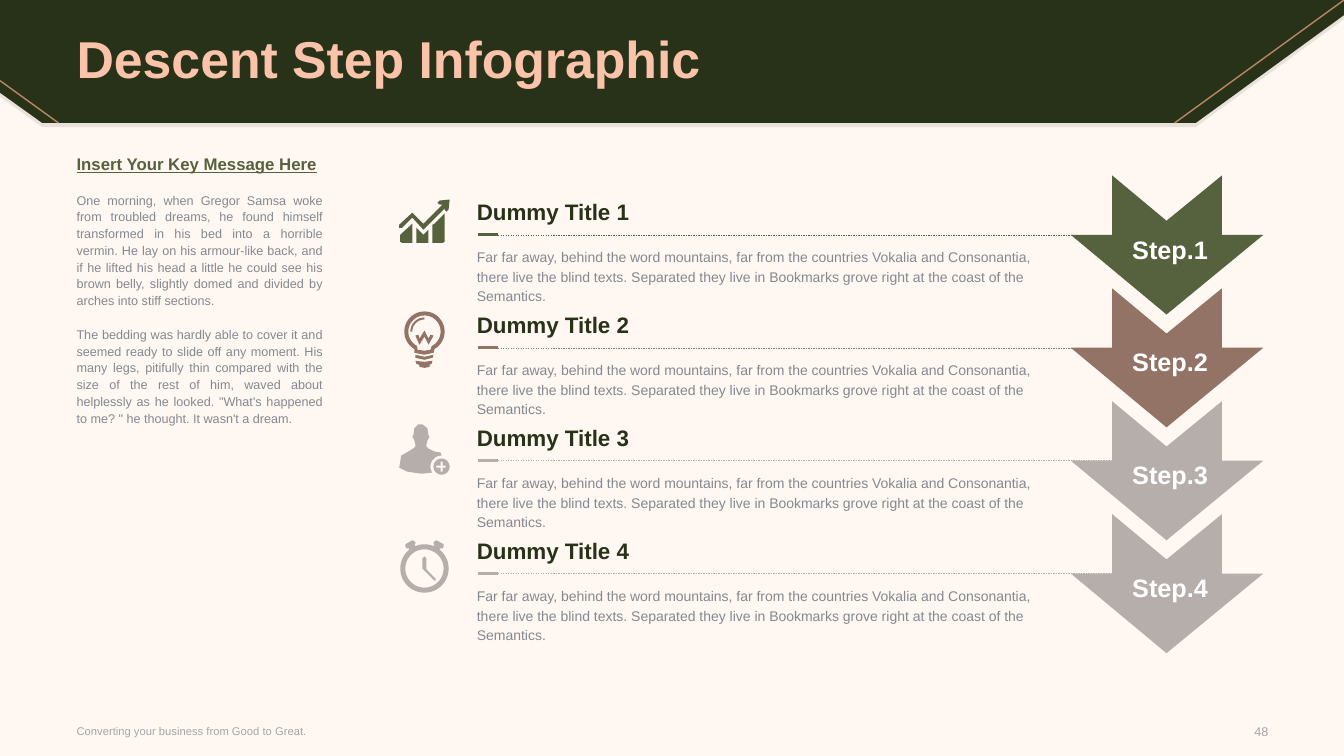
"""Build the descent step infographic slide."""
import dataclasses
import math
import typing

import pptx
import pptx.dml.color
import pptx.enum.dml
import pptx.enum.shapes
import pptx.enum.text
import pptx.oxml
import pptx.oxml.ns
import pptx.shapes.autoshape
import pptx.slide
import pptx.text.text
import pptx.util

PX = 9144
STEP_PITCH = 112
RGB = pptx.dml.color.RGBColor
Pt = pptx.util.Pt
Align = pptx.enum.text.PP_ALIGN
Anchor = pptx.enum.text.MSO_ANCHOR
Point = tuple[float, float]
Contour = list[Point]
Format = dict[str, typing.Any]

CREAM = RGB(0xFF, 0xF7, 0xF2)
FOREST = RGB(0x28, 0x32, 0x18)
PEACH = RGB(0xFB, 0xC4, 0xAA)
COPPER = RGB(0xB9, 0x87, 0x63)
OLIVE = RGB(0x56, 0x61, 0x3D)
BROWN = RGB(0x92, 0x73, 0x65)
TAUPE = RGB(0xB6, 0xAE, 0xAB)
SLATE = RGB(0x85, 0x89, 0x8F)
SILVER = RGB(0xA6, 0xA6, 0xA6)
WHITE = RGB(0xFF, 0xFF, 0xFF)

KEY_MESSAGE = "Insert Your Key Message Here"
STORY = (
    "One morning, when Gregor Samsa woke from troubled dreams, he found himself transformed "
    "in his bed into a horrible vermin. He lay on his armour-like back, and if he lifted his "
    "head a little he could see his brown belly, slightly domed and divided by arches into "
    "stiff sections.",
    "The bedding was hardly able to cover it and seemed ready to slide off any moment. His "
    "many legs, pitifully thin compared with the size of the rest of him, waved about "
    "helplessly as he looked. \"What's happened to me? \" he thought. It wasn't a dream.",
)
STEP_TEXT = (
    "Far far away, behind the word mountains, far from the countries Vokalia and Consonantia, "
    "there live the blind texts. Separated they live in Bookmarks grove right at the coast of "
    "the Semantics."
)


@dataclasses.dataclass
class Step:
    """One row: its colour and the outlines of its icon."""
    color: RGB
    icon: list[Contour]


@dataclasses.dataclass
class Words:
    """One paragraph with its font and paragraph formats."""
    text: str
    size: int
    color: RGB
    font: Format = dataclasses.field(default_factory=dict)
    layout: Format = dataclasses.field(default_factory=dict)


def arc(x: int, y: int, radius: int, start: int = 0, end: int = 360) -> Contour:
    """Return points along an arc, with angles in degrees."""
    angles = [math.radians(start + (end - start) * i / 48) for i in range(49)]
    return [(x + radius * math.cos(a), y + radius * math.sin(a)) for a in angles]


def shift(contour: Contour, dy: int) -> Contour:
    """Move a contour down."""
    return [(x, y + dy) for x, y in contour]


HEADER = [(1186, 122), (42, 122), (0, 92), (0, 0), (1333, 0), (1333, 15)]
ARROW = [(1253, 233), (1157, 312), (1062, 233), (1103, 233), (1103, 174), (1157, 219),
         (1212, 174), (1212, 233)]
CHART = [
    [(397, 240), (399, 241), (409, 241), (409, 222), (397, 233)],
    [(413, 226), (413, 241), (425, 241), (425, 228), (420, 233)],
    [(429, 223), (429, 241), (439, 241), (441, 240), (441, 212), (431, 222)],
    [(436, 199), (434, 201), (436, 203), (439, 203), (420, 222), (409, 211), (396, 223),
     (396, 226), (399, 226), (409, 216), (420, 228), (442, 206), (441, 208), (443, 210),
     (445, 208), (446, 198)],
]
BULB = [
    arc(421, 329, 20, 120, 420) + [(430, 350), (421, 352), (411, 350)],
    arc(421, 329, 16, 117, 423) + [(427, 347), (421, 348), (414, 347)],
    arc(421, 329, 14, 180, 270) + arc(421, 329, 12, 270, 180),
    [(425, 336), (421, 328), (416, 336), (415, 332), (412, 333), (416, 342), (421, 334),
     (425, 342), (430, 333), (427, 332)],
    [(412, 352), (412, 355), (421, 357), (429, 355), (430, 352), (421, 354)],
    [(412, 358), (413, 361), (416, 362), (416, 364), (421, 365), (426, 364), (426, 362),
     (428, 361), (429, 358), (421, 359)],
]
PERSON = [
    arc(438, 463, 11, 147, 270) + [
        (437, 449), (431, 448), (425, 445), (423, 443), (423, 441), (424, 437), (426, 433),
        (425, 432), (424, 425), (419, 421), (415, 421), (411, 425), (410, 432), (409, 433),
        (411, 437), (412, 441), (412, 443), (410, 445), (405, 448), (398, 452), (396, 464),
        (404, 468), (418, 470)],
    arc(438, 463, 8),
    [(442, 464), (439, 464), (439, 468), (437, 468), (437, 464), (433, 464), (433, 462),
     (437, 462), (437, 458), (439, 458), (439, 462), (442, 462)],
]
BELL = [(436, 545), (437, 544), (439, 544), (440, 542), (440, 540), (433, 536), (431, 537),
        (430, 538), (430, 540), (431, 540), (430, 542)]
CLOCK = [
    arc(421, 564, 24), arc(421, 564, 19), BELL, [(842 - x, y) for x, y in BELL],
    [(423, 565), (423, 554), (421, 552), (419, 554), (419, 564), (421, 566), (431, 576),
     (432, 576), (432, 574)],
]
STEPS = [Step(OLIVE, CHART), Step(BROWN, BULB), Step(TAUPE, PERSON), Step(TAUPE, CLOCK)]


def apply(target: typing.Any, values: Format) -> None:
    """Set each named attribute on the target."""
    for name, value in values.items():
        setattr(target, name, value)


def write(frame: pptx.text.text.TextFrame, lines: list[Words], anchor: Anchor) -> None:
    """Fill a text frame with formatted paragraphs."""
    apply(frame, {"word_wrap": True, "auto_size": pptx.enum.text.MSO_AUTO_SIZE.NONE,
                  "vertical_anchor": anchor, "margin_left": 0, "margin_right": 0,
                  "margin_top": 0, "margin_bottom": 0})
    for index, words in enumerate(lines):
        para = frame.add_paragraph() if index else frame.paragraphs[0]
        span = para.add_run()
        span.text = words.text
        apply(para, words.layout)
        apply(span.font, {"name": "Arial", "size": Pt(words.size), **words.font})
        span.font.color.rgb = words.color


def add_text(page: pptx.slide.Slide, place: tuple[int, int, int, int], lines: list[Words],
             anchor: Anchor = Anchor.TOP) -> None:
    """Add a text box."""
    box = page.shapes.add_textbox(*(v * PX for v in place))
    write(box.text_frame, lines, anchor)


def add_outline(page: pptx.slide.Slide, contours: list[Contour],
                color: RGB) -> pptx.shapes.autoshape.Shape:
    """Add a filled shape made of closed contours."""
    scaled = [[(x * PX, y * PX) for x, y in contour] for contour in contours]
    builder = page.shapes.build_freeform(*scaled[0][0])
    for contour in scaled:
        builder.move_to(*contour[0])
        builder.add_line_segments(contour[1:], close=True)
    shape = builder.convert_to_shape()
    shape.shadow.inherit = False
    shape.fill.solid()
    shape.fill.fore_color.rgb = color
    shape.line.fill.background()
    return shape


def add_rule(page: pptx.slide.Slide, ends: tuple[int, int, int, int], color: RGB,
             values: Format) -> None:
    """Add a straight line."""
    rule = page.shapes.add_connector(pptx.enum.shapes.MSO_CONNECTOR.STRAIGHT,
                                     *(v * PX for v in ends))
    rule.line.color.rgb = color
    apply(rule.line, values)
    rule.element.spPr.append(pptx.oxml.parse_xml(
        f"<a:effectLst {pptx.oxml.ns.nsdecls('a')}/>"))


def add_header(page: pptx.slide.Slide) -> None:
    """Draw the header band and put the title on it."""
    shade = add_outline(page, [shift(HEADER, 4)], FOREST)
    tint = shade.element.spPr.find(".//" + pptx.oxml.ns.qn("a:srgbClr"))
    tint.append(pptx.oxml.parse_xml(f'<a:alpha {pptx.oxml.ns.nsdecls("a")} val="10000"/>'))
    add_outline(page, [HEADER], FOREST)
    for ends in ((1333, 0, 1165, 122), (0, 80, 58, 122)):
        add_rule(page, ends, COPPER, {"width": Pt(1)})
    title = page.shapes.title
    apply(title, {"left": 76 * PX, "top": 3 * PX, "width": 1181 * PX, "height": 117 * PX})
    page.shapes._spTree.append(title.element)
    write(title.text_frame, [Words("Descent Step Infographic", 37, PEACH, {"bold": True},
                                   {"alignment": Align.LEFT, "line_spacing": 0.9})],
          Anchor.MIDDLE)


def add_step(page: pptx.slide.Slide, index: int, step: Step) -> None:
    """Draw one row with its icon, text, rules and arrow."""
    dy = index * STEP_PITCH
    add_text(page, (473, 244 + dy, 560, 59),
             [Words(STEP_TEXT, 10, SLATE, layout={"line_spacing": Pt(14)})])
    add_text(page, (473, 197 + dy, 560, 27),
             [Words(f"Dummy Title {index + 1}", 16, FOREST, {"bold": True})])
    add_rule(page, (494, 233 + dy, 474, 233 + dy), step.color, {"width": Pt(2)})
    add_rule(page, (494, 233 + dy, 1103, 233 + dy), step.color,
             {"width": Pt(0.25), "dash_style": pptx.enum.dml.MSO_LINE.DASH})
    add_outline(page, step.icon, step.color)
    add_outline(page, [shift(ARROW, dy)], step.color)
    add_text(page, (1064, 232 + dy, 193, 30),
             [Words(f"Step.{index + 1}", 18, WHITE, {"bold": True},
                    {"alignment": Align.CENTER})])


def main() -> None:
    """Build and save the deck."""
    deck = pptx.Presentation()
    apply(deck, {"slide_width": 1333 * PX, "slide_height": 750 * PX})
    page = deck.slides.add_slide(deck.slide_layouts[5])
    page.background.fill.solid()
    page.background.fill.fore_color.rgb = CREAM
    add_header(page)
    justified = {"alignment": Align.JUSTIFY, "line_spacing": Pt(12)}
    spaced = {**justified, "space_before": Pt(12)}
    message = Words(KEY_MESSAGE, 12, OLIVE, {"bold": True, "underline": True}, justified)
    story = [Words(text, 9, SLATE, layout=spaced) for text in STORY]
    add_text(page, (76, 156, 244, 519), [message, *story])
    add_text(page, (76, 712, 523, 26),
             [Words("Converting your business from Good to Great.", 8, SILVER)], Anchor.MIDDLE)
    add_text(page, (1195, 713, 63, 26),
             [Words("48", 9, SILVER, layout={"alignment": Align.RIGHT})], Anchor.MIDDLE)
    for index, step in enumerate(STEPS):
        add_step(page, index, step)
    deck.save("out.pptx")


if __name__ == "__main__":
    main()
